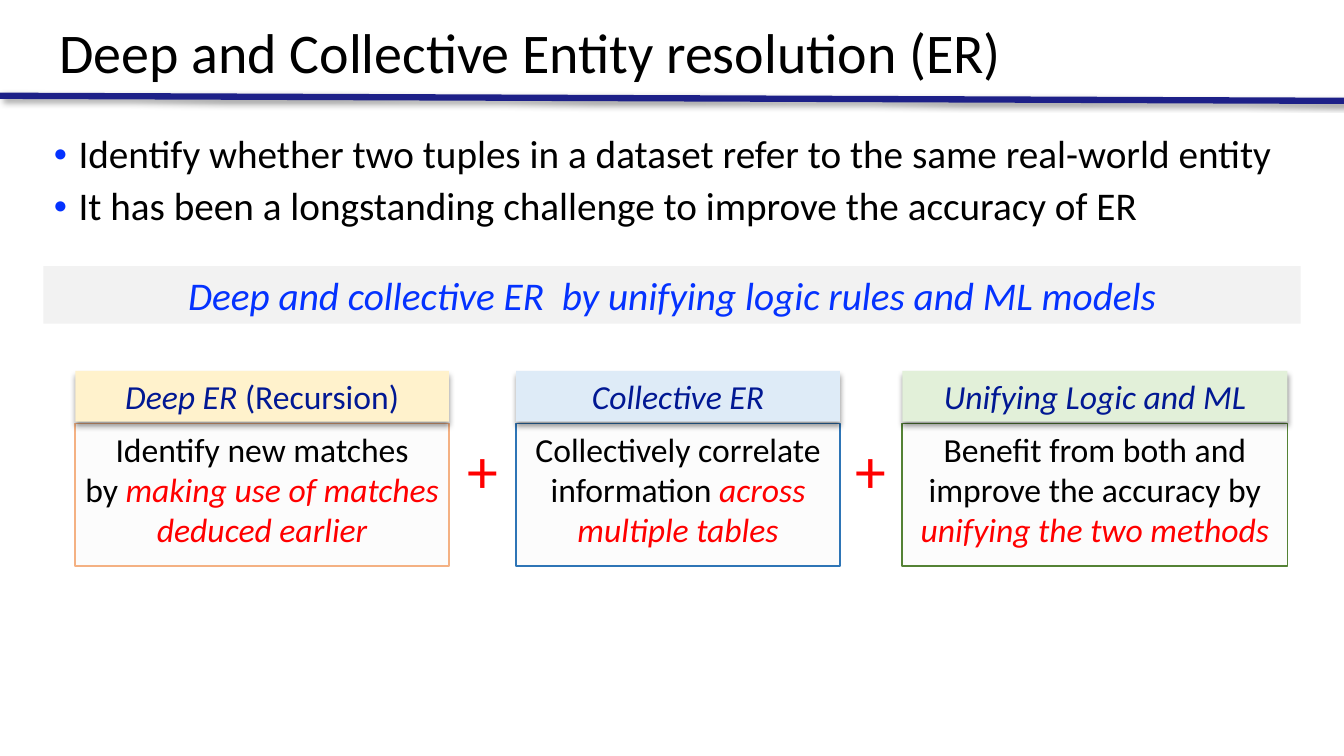
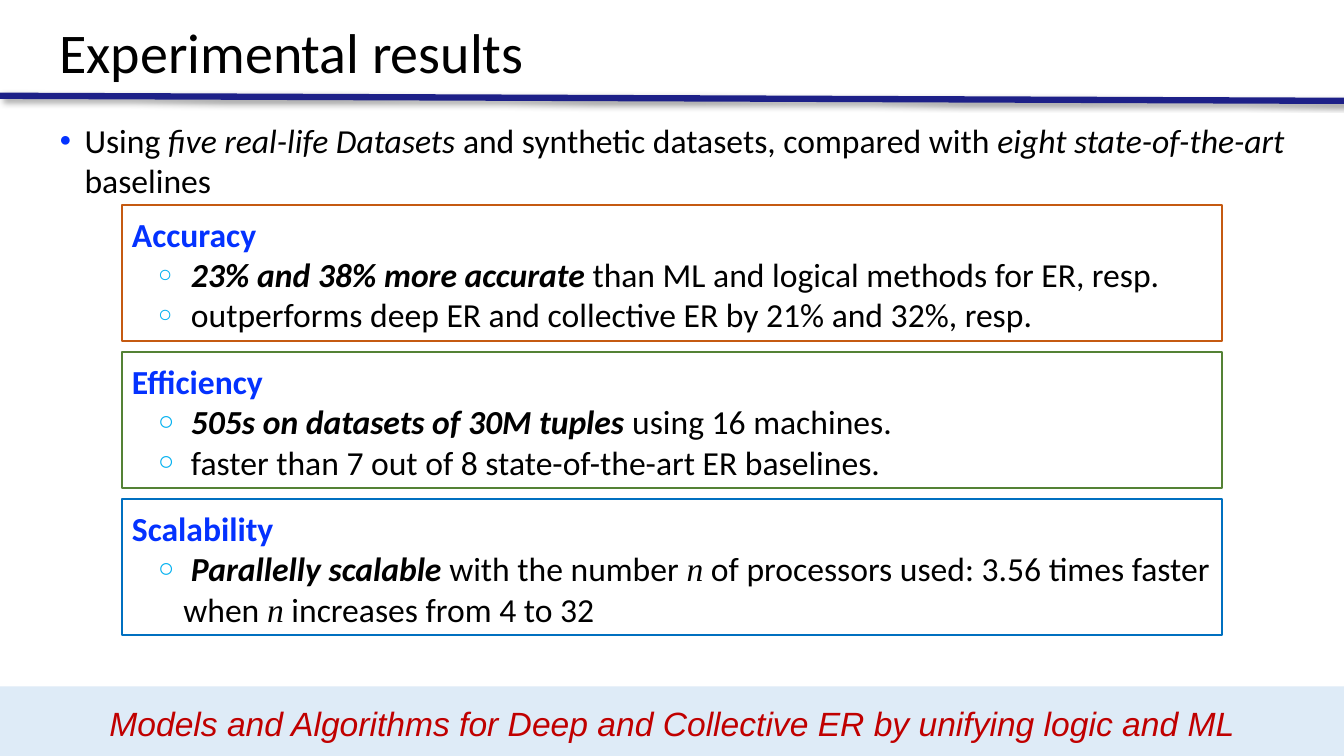
from lxml import etree
from pptx import Presentation
from pptx.dml.color import RGBColor
from pptx.enum.shapes import MSO_CONNECTOR, MSO_SHAPE
from pptx.enum.text import MSO_ANCHOR, PP_ALIGN
from pptx.oxml.ns import qn
from pptx.util import Inches, Pt

RECT = MSO_SHAPE.RECTANGLE
STRAIGHT = MSO_CONNECTOR.STRAIGHT
TOP, MIDDLE = MSO_ANCHOR.TOP, MSO_ANCHOR.MIDDLE
LEFT, CENTER = PP_ALIGN.LEFT, PP_ALIGN.CENTER
WIDTH, HEIGHT = Inches(13.33), Inches(7.5)
FONT, MATH_FONT, FOOTER_FONT = "Calibri", "Times New Roman", "Arial"
COLORS = {
    "black": "000000", "rule": "1D2088", "blue": "0432FF", "navy": "011893",
    "red": "FF0000", "dark_red": "C00000", "cyan": "00B0F0", "grey": "F2F2F2",
    "cream": "FFF2CC", "ice": "DEEBF7", "mint": "E2F0D9", "peach": "F4B183",
    "steel": "2E75B6", "green": "548235", "orange": "C55A11", "azure": "0070C0",
}
ITALIC = {"italic": True}
STRONG = {"bold": True, "italic": True}
RED_ITALIC = {"italic": True, "color": "red"}
VARIABLE = {"italic": True, "font": MATH_FONT}
DOT = {"char": "●", "color": "blue", "size": 60, "margin": 0.25}
RING = {"char": "○", "color": "cyan", "size": 80, "margin": 0.51}
SMALL_RING = {**RING, "size": 70}


def rgb(name):
    """Return the palette colour of that name."""
    return RGBColor.from_string(COLORS[name])


def place(x, y, w, h):
    """Turn percentages of the slide into a box in EMU."""
    return tuple(int(share * side / 100) for share, side in
                 zip((x, y, w, h), (WIDTH, HEIGHT, WIDTH, HEIGHT)))


def add_node(parent, tag, **attrs):
    """Append a DrawingML element with its attributes."""
    node = etree.SubElement(parent, qn(tag))
    for key, value in attrs.items():
        node.set(key, str(value))
    return node


def add_shadow(sp, angle):
    """Give a shape or connector a soft outer shadow."""
    spPr = sp._element.spPr
    effects = spPr.find(qn("a:effectLst"))
    if effects is None:
        effects = add_node(spPr, "a:effectLst")
    shadow = add_node(effects, "a:outerShdw", blurRad=Pt(4), dist=Pt(3),
                      dir=angle * 60000, rotWithShape=0)
    color = add_node(shadow, "a:srgbClr", val=COLORS["black"])
    add_node(color, "a:alpha", val=40000)


def add_bullet(p, char, color, size, margin):
    """Give a paragraph a coloured hanging bullet."""
    pPr = p._p.get_or_add_pPr()
    pPr.set("marL", str(Inches(margin)))
    pPr.set("indent", str(Inches(-0.25)))
    add_node(add_node(pPr, "a:buClr"), "a:srgbClr", val=COLORS[color])
    add_node(pPr, "a:buSzPct", val=size * 1000)
    add_node(pPr, "a:buFont", typeface="Arial")
    add_node(pPr, "a:buChar", char=char)


def add_run(p, text, size=24, color="black", font=FONT, bold=False, italic=False):
    """Append formatted text to a paragraph."""
    r = p.add_run()
    r.text = text
    r.font.size, r.font.name = Pt(size), font
    r.font.bold, r.font.italic = bold, italic
    r.font.color.rgb = rgb(color)


def write(sp, paragraphs, align=LEFT, anchor=TOP, inset=0.05, **style):
    """Fill a shape with paragraphs of (runs, bullet, line spacing)."""
    tf = sp.text_frame
    tf.word_wrap, tf.vertical_anchor = True, anchor
    tf.margin_left = tf.margin_right = Inches(0.1)
    tf.margin_top = tf.margin_bottom = Inches(inset)
    for i, (runs, bullet, spacing) in enumerate(paragraphs):
        p = tf.add_paragraph() if i else tf.paragraphs[0]
        p.alignment, p.line_spacing = align, spacing
        if bullet:
            add_bullet(p, **bullet)
        for text, extra in runs:
            add_run(p, text, **{**style, **extra})


def plain(text, bullet=None, spacing=1.0):
    """Return a paragraph with a single run."""
    return [(text, {})], bullet, spacing


def add_text(slide, box, paragraphs, **style):
    """Add a text box with its paragraphs."""
    write(slide.shapes.add_textbox(*box), paragraphs, **style)


def add_block(slide, box, paragraphs, fill=None, line=None, alpha=None,
              shadow=False, **style):
    """Add a rectangle holding text."""
    sp = slide.shapes.add_shape(RECT, *box)
    sp.shadow.inherit = False
    if fill:
        sp.fill.solid()
        sp.fill.fore_color.rgb = rgb(fill)
    else:
        sp.fill.background()
    if alpha:
        color = sp._element.spPr.find(qn("a:solidFill")).find(qn("a:srgbClr"))
        add_node(color, "a:alpha", val=alpha * 1000)
    if line:
        sp.line.color.rgb = rgb(line)
        sp.line.width = Pt(1.25)
    else:
        sp.line.fill.background()
    if shadow:
        add_shadow(sp, 90)
    write(sp, paragraphs, **style)


def add_page(prs, title):
    """Add a blank slide with the shared title and rule."""
    slide = prs.slides.add_slide(prs.slide_layouts[6])
    add_text(slide, place(3.68, 1.07, 89.5, 12.53), [plain(title, spacing=0.9)],
             anchor=MIDDLE, size=40)
    left, top, width, drop = place(0, 12.67, 100, 0.67)
    rule = slide.shapes.add_connector(STRAIGHT, left, top, left + width, top + drop)
    rule.line.color.rgb = rgb("rule")
    rule.line.width = Pt(4.5)
    add_shadow(rule, 45)
    return slide


def add_card(slide, box, heading, body, fill, line):
    """Add a shaded heading above an outlined description."""
    left, top, width, height = box
    body_top = int(height * 0.27)
    add_block(slide, (left, top + body_top, width, height - body_top), body,
              fill="grey", alpha=20, line=line, align=CENTER)
    add_block(slide, (left, top, width, int(height * 0.26)), [heading], fill=fill,
              shadow=True, align=CENTER, color="navy")


def add_cards(slide, cards, top, height):
    """Add cards in a row with a plus sign in each gap."""
    previous_end = None
    for x, w, heading, body, fill, line in cards:
        add_card(slide, place(x, top, w, height), heading, body, fill, line)
        if previous_end:
            add_text(slide, place((previous_end + x) / 2 - 2.35, top + 7.4, 4.7, 11.2),
                     [plain("+")], align=CENTER, anchor=MIDDLE, inset=0.04,
                     size=44, color="red")
        previous_end = x + w


def add_panels(slide, box, pitch, panels):
    """Stack outlined result panels at an equal pitch."""
    left, top, width, height = box
    for i, (heading, line, bullet, items) in enumerate(panels):
        head = [(heading, {"bold": True, "color": "blue"})], None, 1.1
        points = [(runs, bullet, 1.0) for runs in items]
        add_block(slide, (left, top + i * pitch, width, height), [head] + points,
                  line=line)


def build_overview(prs):
    """Build the slide that introduces entity resolution."""
    slide = add_page(prs, "Deep and Collective Entity resolution (ER)")
    points = ("Identify whether two tuples in a dataset refer to the same real-world entity",
              "It has been a longstanding challenge to improve the accuracy of ER")
    add_text(slide, place(3.23, 15.87, 93.55, 16.13),
             [plain(text, DOT, 1.1) for text in points], size=28)
    add_block(slide, place(3.23, 35.2, 93.55, 7.6),
              [plain("Deep and collective ER  by unifying logic rules and ML models")],
              fill="grey", align=CENTER, size=28, color="blue", italic=True)
    cards = [
        (5.6, 27.8, ([("Deep ER ", ITALIC), ("(Recursion)", {})], None, 1.0),
         [plain("Identify new matches"),
          ([("by ", {}), ("making use of matches deduced earlier", RED_ITALIC)],
           None, 1.0)], "cream", "peach"),
        (38.4, 24.1, ([("Collective ER", ITALIC)], None, 1.0),
         [([("Collectively correlate information ", {}),
            ("across multiple tables", RED_ITALIC)], None, 1.0)], "ice", "steel"),
        (67.14, 28.66, ([("Unifying Logic and ML", ITALIC)], None, 1.0),
         [([("Benefit from both and improve the accuracy by ", {}),
            ("unifying the two methods", RED_ITALIC)], None, 1.0)], "mint", "green"),
    ]
    add_cards(slide, cards, 49.07, 25.8)


def build_results(prs):
    """Build the slide that reports the experiments."""
    slide = add_page(prs, "Experimental results")
    panels = [
        ("Accuracy", "orange", SMALL_RING, [
            [(" 23% and 38% more accurate ", STRONG),
             ("than ML and logical methods for ER, resp.", {})],
            [(" outperforms deep ER and collective ER by 21% and 32%, resp.", {})]]),
        ("Efficiency", "green", RING, [
            [(" 505s on datasets of 30M tuples ", STRONG), ("using 16 machines.", {})],
            [(" faster than 7 out of 8 state-of-the-art ER baselines.", {})]]),
        ("Scalability", "azure", RING, [
            [(" Parallelly scalable ", STRONG), ("with the number ", {}),
             ("n", VARIABLE), (" of processors used: 3.56 times faster when ", {}),
             ("n", VARIABLE), (" increases from 4 to 32", {})]]),
    ]
    add_panels(slide, place(9.08, 27.07, 81.85, 18), int(HEIGHT * 0.1947), panels)
    setup = [("Using ", {}), ("five real-life Datasets ", ITALIC),
             ("and synthetic datasets, compared with ", {}),
             ("eight state-of-the-art ", ITALIC), ("baselines", {})]
    add_text(slide, place(3.68, 15.2, 93.55, 13.2), [(setup, DOT, 1.0)])
    add_block(slide, place(0, 90.8, 100, 9.2),
              [plain("Models and Algorithms for Deep and Collective ER by unifying logic and ML")],
              fill="ice", align=CENTER, inset=0.16, color="dark_red",
              font=FOOTER_FONT, italic=True)


def main():
    """Build and save the presentation."""
    prs = Presentation()
    prs.slide_width, prs.slide_height = WIDTH, HEIGHT
    build_overview(prs)
    build_results(prs)
    prs.save("out.pptx")


if __name__ == "__main__":
    main()
